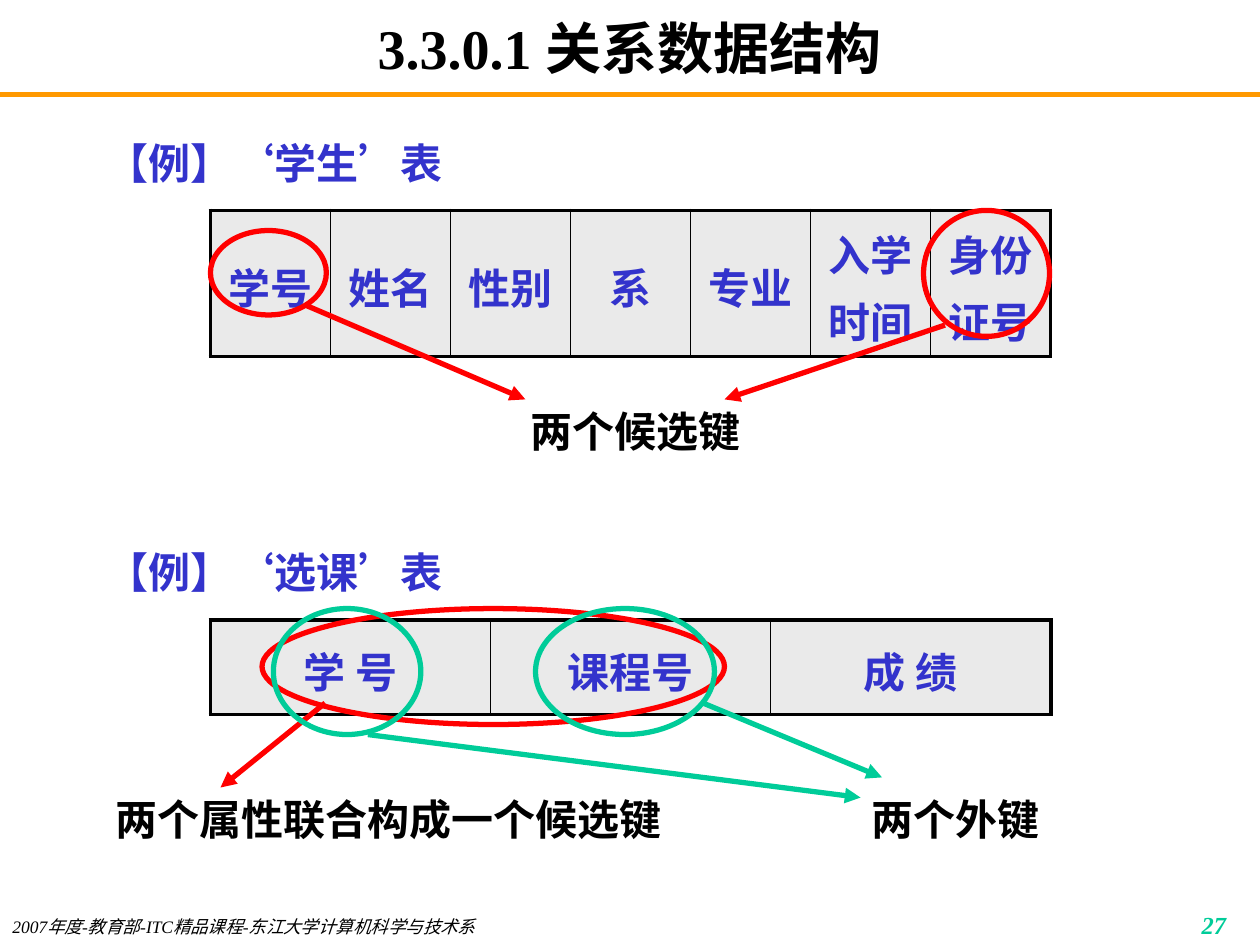
from dataclasses import dataclass

from lxml.etree import SubElement
from pptx import Presentation
from pptx.dml.color import RGBColor
from pptx.enum.shapes import MSO_CONNECTOR, MSO_SHAPE
from pptx.enum.text import MSO_ANCHOR, MSO_AUTO_SIZE, PP_ALIGN
from pptx.oxml import parse_xml
from pptx.oxml.ns import nsdecls, qn
from pptx.util import Inches, Pt


@dataclass(frozen=True)
class Theme:
    """Colours, fonts and sizes of the slide."""
    latin: str = "Times New Roman"
    chinese: str = "Noto Sans CJK SC"
    black: str = "000000"
    blue: str = "3333CC"
    red: str = "FF0000"
    green: str = "00CC99"
    orange: str = "FF9900"
    cell: str = "EAEAEA"
    title: int = 32
    body: int = 24
    number: int = 14
    footer: int = 10
    stroke: float = 3
    outer: float = 2.25
    inner: float = 1


THEME = Theme()


def write(frame, text, size=THEME.body, color=THEME.black, bold=True, italic=False,
          align=PP_ALIGN.CENTER, before=0, spacing=None, hanging=0):
    """Write one formatted paragraph into a text frame."""
    para = frame.paragraphs[0]
    para.alignment = align
    para.space_before = Pt(before)
    if spacing:
        para.line_spacing = spacing
    if hanging:
        properties = para._p.get_or_add_pPr()
        properties.set("marL", str(Inches(hanging)))
        properties.set("indent", str(-Inches(hanging)))
    span = para.add_run()
    span.text = text
    font = span.font
    font.name, font.size, font.bold, font.italic = THEME.latin, Pt(size), bold, italic
    font.color.rgb = RGBColor.from_string(color)
    span._r.get_or_add_rPr().set("lang", "zh-CN")
    SubElement(span._r.rPr, qn("a:ea"), typeface=THEME.chinese)


def add_text(page, text, left, top, width, height, **style):
    """Add a wrapping text box."""
    box = page.shapes.add_textbox(Inches(left), Inches(top), Inches(width), Inches(height))
    box.text_frame.word_wrap = True
    write(box.text_frame, text, **style)


def add_title(page, text):
    """Place and fill the title placeholder."""
    box = page.shapes.title
    box.left, box.top, box.width, box.height = map(Inches, (0.75, 0.08, 8.5, 0.58))
    frame = box.text_frame
    frame.auto_size = MSO_AUTO_SIZE.NONE
    frame.vertical_anchor = MSO_ANCHOR.MIDDLE
    write(frame, text, size=THEME.title)


def add_example(page, name, top):
    """Add the heading that introduces a table."""
    add_text(page, f"【例】‘{name}’表", 0.75, top, 8.5, 0.58, color=THEME.blue,
             align=PP_ALIGN.LEFT, before=4.8, spacing=1.1, hanging=0.38)


def set_borders(cell, first, last):
    """Draw thick outer and thin inner borders on a cell."""
    widths = {"L": THEME.outer if first else THEME.inner,
              "R": THEME.outer if last else THEME.inner,
              "T": THEME.outer, "B": THEME.outer}
    properties = cell._tc.get_or_add_tcPr()
    for index, (side, width) in enumerate(widths.items()):
        properties.insert(index, parse_xml(
            f'<a:ln{side} {nsdecls("a")} w="{Pt(width)}"><a:solidFill>'
            f'<a:srgbClr val="{THEME.black}"/></a:solidFill></a:ln{side}>'))


def add_schema(page, names, top, height):
    """Add a one-row table of attribute names."""
    width = Inches(6.67)
    table = page.shapes.add_table(1, len(names), Inches(1.67), Inches(top),
                                  width, Inches(height)).table
    table.first_row = table.horz_banding = False
    for index, name in enumerate(names):
        table.columns[index].width = width // len(names)
        cell = table.cell(0, index)
        cell.vertical_anchor = MSO_ANCHOR.MIDDLE
        cell.fill.solid()
        cell.fill.fore_color.rgb = RGBColor.from_string(THEME.cell)
        set_borders(cell, index == 0, index == len(names) - 1)
        write(cell.text_frame, name, color=THEME.blue, before=4.8, spacing=1.1)


def set_line(line, color):
    """Give a line its colour and the common width."""
    line.color.rgb = RGBColor.from_string(color)
    line.width = Pt(THEME.stroke)


def add_ring(page, color, left, top, width, height):
    """Circle an attribute with an unfilled ellipse."""
    ring = page.shapes.add_shape(MSO_SHAPE.OVAL, Inches(left), Inches(top),
                                 Inches(width), Inches(height))
    ring.shadow.inherit = False
    ring.fill.background()
    set_line(ring.line, color)


def add_line(page, color, start, end, arrow=True):
    """Add a straight line, with an arrowhead at its end by default."""
    line = page.shapes.add_connector(MSO_CONNECTOR.STRAIGHT, *map(Inches, start + end))
    set_line(line.line, color)
    if arrow:
        SubElement(line.line._get_or_add_ln(), qn("a:tailEnd"), type="triangle")
    SubElement(line._element.spPr, qn("a:effectLst"))


def add_note(page, text, left, top, width):
    """Add a centred explanation."""
    add_text(page, text, left, top, width, 0.5, before=12)


def add_student_table(page):
    """Build the student example with its two candidate keys."""
    add_example(page, "学生", 1)
    add_schema(page, ["学号", "姓名", "性别", "系", "专业", "入学时间", "身份证号"], 1.67, 1.16)
    add_ring(page, THEME.red, 1.67, 1.83, 0.92, 0.67)
    add_ring(page, THEME.red, 7.33, 1.67, 1, 1)
    add_note(page, "两个候选键", 3, 3.17, 4.08)
    add_line(page, THEME.red, (2.42, 2.42), (4.17, 3.17))
    add_line(page, THEME.red, (7.5, 2.58), (5.75, 3.17))


def add_course_table(page):
    """Build the course example with its candidate key and foreign keys."""
    add_example(page, "选课", 4.25)
    add_schema(page, ["学 号", "课程号", "成 绩"], 4.92, 0.75)
    add_ring(page, THEME.red, 2.08, 4.83, 3.67, 0.92)
    add_note(page, "两个属性联合构成一个候选键", 0.67, 6.25, 4.83)
    add_line(page, THEME.red, (2.58, 5.58), (1.75, 6.25))
    add_ring(page, THEME.green, 2.17, 4.83, 1.17, 1)
    add_ring(page, THEME.green, 4.25, 4.83, 1.42, 1)
    add_line(page, THEME.green, (2.92, 5.83), (6.83, 6.33))
    add_line(page, THEME.green, (5.58, 5.58), (7, 6.17))
    add_note(page, "两个外键", 6.58, 6.25, 2)


def main():
    """Build and save the slide."""
    deck = Presentation()
    deck.slide_width, deck.slide_height = Inches(10), Inches(7.5)
    page = deck.slides.add_slide(deck.slide_layouts[5])
    add_line(page, THEME.orange, (0, 0.75), (10, 0.75), arrow=False)
    add_text(page, "2007年度-教育部-ITC精品课程-东江大学计算机科学与技术系", 0, 7.22, 6.1, 0.28,
             size=THEME.footer, bold=False, italic=True, align=PP_ALIGN.LEFT)
    add_text(page, "27", 7.75, 7.17, 2.08, 0.25, size=THEME.number, color=THEME.green,
             italic=True, align=PP_ALIGN.RIGHT)
    add_title(page, "3.3.0.1 关系数据结构")
    add_student_table(page)
    add_course_table(page)
    deck.save("out.pptx")


if __name__ == "__main__":
    main()
